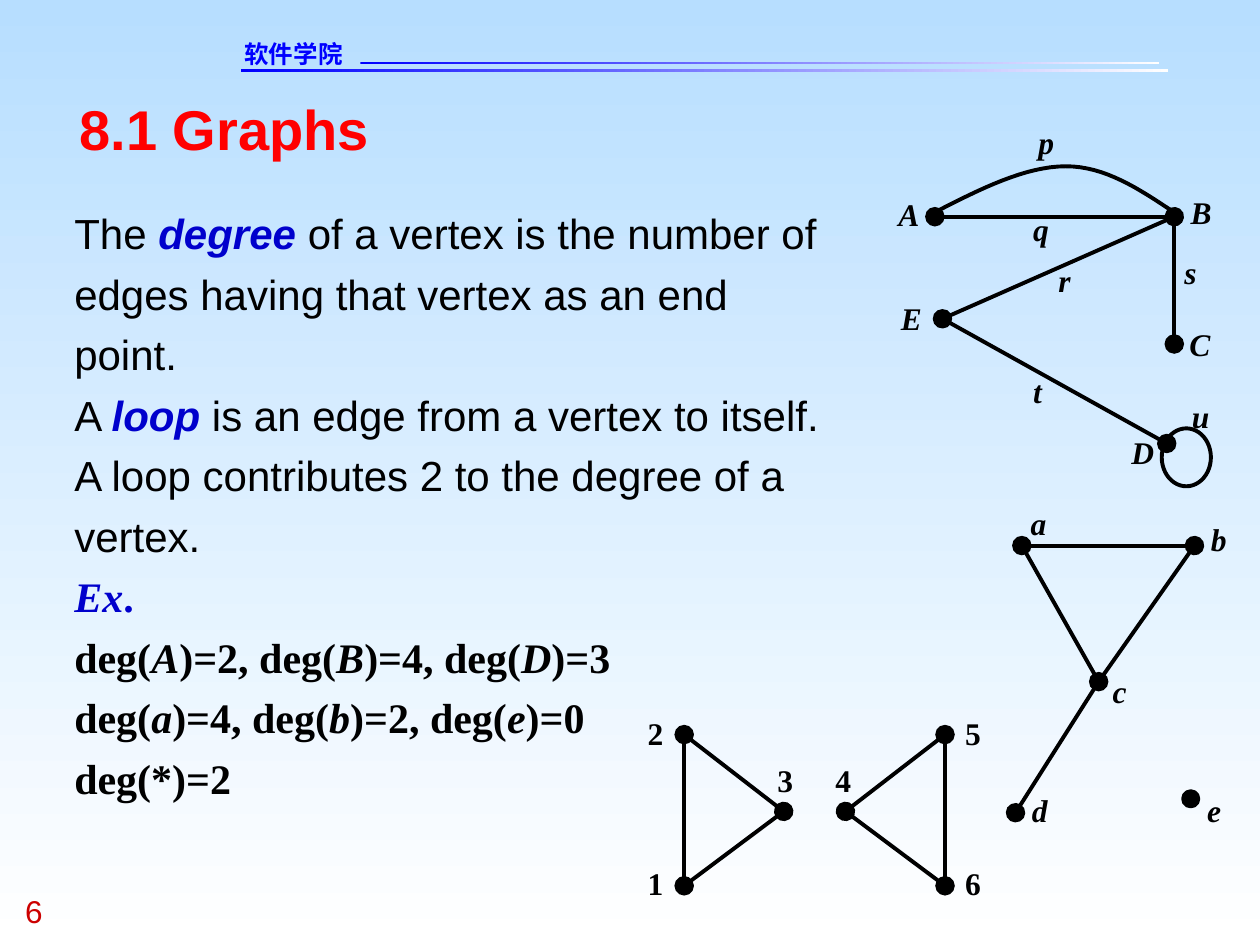
from collections import namedtuple
from dataclasses import dataclass

from lxml.etree import SubElement
from pptx import Presentation
from pptx.dml.color import RGBColor as Rgb
from pptx.enum.shapes import MSO_CONNECTOR as Connector, MSO_SHAPE as Shape
from pptx.enum.text import MSO_ANCHOR as Anchor, MSO_AUTO_SIZE as AutoSize, PP_ALIGN as Align
from pptx.oxml.ns import qn
from pptx.util import Inches, Pt

Box = namedtuple("Box", "left top width height")


@dataclass(frozen=True)
class Theme:
    """Colours, fonts and sizes of the slide."""
    sky: Rgb = Rgb(0xB7, 0xDE, 0xFF)
    white: Rgb = Rgb(255, 255, 255)
    blue: Rgb = Rgb(0, 0, 255)
    term: Rgb = Rgb(0, 0, 0xCC)
    red: Rgb = Rgb(255, 0, 0)
    number: Rgb = Rgb(0xCC, 0, 0)
    ink: Rgb = Rgb(0, 0, 0)
    sans: str = "Arial"
    serif: str = "Times New Roman"
    header: str = "DejaVu Sans"
    title_size: Pt = Pt(32)
    body_size: Pt = Pt(24)
    label_size: Pt = Pt(18)
    header_size: Pt = Pt(14)
    edge: Pt = Pt(2.25)


T = Theme()
PROSE = dict(name=T.sans, size=T.body_size, color=T.ink)
TERM = dict(PROSE, color=T.term, bold=True, italic=True)
MATH = dict(name=T.serif, size=T.body_size, color=T.ink, bold=True)
VERTEX = dict(MATH, italic=True)
LABEL = dict(MATH, size=T.label_size)
HEADER = dict(name=T.header, size=T.header_size, color=T.blue, bold=True)
NUMBER = dict(name=T.sans, size=T.label_size, color=T.number)
TITLE = dict(name=T.sans, size=T.title_size, color=T.red, bold=True)
FRAME = dict(margin_left=0, margin_top=0, margin_right=0, margin_bottom=0,
             word_wrap=True, auto_size=AutoSize.NONE)


def degrees(values):
    """Return the runs of one line of vertex degrees."""
    runs = []
    for index, (vertex, degree) in enumerate(values):
        runs += [(", deg(" if index else "deg(", MATH), (vertex, VERTEX), (f")={degree}", MATH)]
    return runs


BODY = [
    [("The ", PROSE), ("degree ", TERM),
     ("of a vertex is the number of edges having that vertex as an end point.", PROSE)],
    [("A ", PROSE), ("loop ", TERM),
     ("is an edge from a vertex to itself. "
      "A loop contributes 2 to the degree of a vertex.", PROSE)],
    [("Ex", dict(VERTEX, color=T.term)), (".", dict(MATH, color=T.term))],
    degrees([("A", 2), ("B", 4), ("D", 3)]),
    degrees([("a", 4), ("b", 2), ("e", 0)]),
    [("deg(*)=2", MATH)],
]


def assign(target, values):
    """Set each named attribute of the target."""
    for name, value in values.items():
        setattr(target, name, value)


def write_run(paragraph, text, style):
    """Add a run with the given font style."""
    run = paragraph.add_run()
    run.text = text
    assign(run.font, {key: value for key, value in style.items() if key != "color"})
    run.font.color.rgb = style["color"]


def add_text(shapes, box, paragraphs, line_spacing=None):
    """Place a text box holding paragraphs of styled runs."""
    frame = shapes.add_textbox(*map(Inches, box)).text_frame
    assign(frame, FRAME)
    for index, runs in enumerate(paragraphs):
        paragraph = frame.add_paragraph() if index else frame.paragraphs[0]
        paragraph.line_spacing = line_spacing
        for text, style in runs:
            write_run(paragraph, text, style)


def fade(fill, colours, angle):
    """Fill with an even gradient between two colours."""
    fill.gradient()
    fill.gradient_angle = angle
    for stop, colour in zip(fill.gradient_stops, colours):
        stop.color.rgb = colour


def add_header(slide, box):
    """Place the school name and its two fading rules."""
    for left, top, width in ((0, 0.24, 7.36), (0.95, 0.18, 6.34)):
        rule = slide.shapes.add_shape(
            Shape.RECTANGLE, *map(Inches, (box.left + left, box.top + top, width, 0.02)))
        rule.shadow.inherit = False
        rule.line.fill.background()
        fade(rule.fill, (T.blue, T.white), 0)
    add_text(slide.shapes, (box.left + 0.03, box.top, 1.45, 0.23), [[("软件学院", HEADER)]])


def add_title(slide, box):
    """Move and format the title placeholder."""
    title = slide.shapes.title
    assign(title, {side: Inches(value) for side, value in box._asdict().items()})
    assign(title.text_frame, dict(FRAME, vertical_anchor=Anchor.MIDDLE))
    paragraph = title.text_frame.paragraphs[0]
    paragraph.alignment = Align.LEFT
    write_run(paragraph, "8.1 Graphs", TITLE)


def ink_outline(shape):
    """Draw the outline of a shape in the edge style."""
    shape.line.color.rgb = T.ink
    shape.line.width = T.edge


def add_ellipse(group, box, left, top, width, height, solid=False):
    """Place a loop, or a solid isolated vertex."""
    ellipse = group.shapes.add_shape(
        Shape.OVAL, *map(Inches, (box.left + left, box.top + top, width, height)))
    ellipse.shadow.inherit = False
    if solid:
        ellipse.fill.solid()
        ellipse.fill.fore_color.rgb = T.ink
    else:
        ellipse.fill.background()
    ink_outline(ellipse)


def add_arc(group, box, start, first, second, end, steps=16):
    """Draw half of a curved edge as one Bezier span."""
    points = []
    for step in range(steps + 1):
        t = step / steps
        weights = ((1 - t) ** 3, 3 * t * (1 - t) ** 2, 3 * t ** 2 * (1 - t), t ** 3)
        points.append(tuple(
            Inches(origin + sum(w * p[axis] for w, p in zip(weights, (start, first, second, end))))
            for axis, origin in enumerate((box.left, box.top))))
    return points


def add_curve(group, box, spans):
    """Draw a curved edge through joined Bezier spans."""
    points = [point for span in spans for point in add_arc(group, box, *span)]
    builder = group.shapes.build_freeform(*points[0], scale=1.0)
    builder.add_line_segments(points[1:], close=False)
    curve = builder.convert_to_shape()
    curve.shadow.inherit = False
    curve.fill.background()
    ink_outline(curve)


def add_graph(slide, box, vertices, edges, labels, style):
    """Draw a labelled graph, dotting each vertex at its first edge."""
    group = slide.shapes.add_group_shape()
    dotted = set()
    for edge in edges:
        ends = [Inches(origin + offset) for vertex in edge
                for origin, offset in zip((box.left, box.top), vertices[vertex])]
        line = group.shapes.add_connector(Connector.STRAIGHT, *ends)
        ink_outline(line)
        properties = line.element.spPr
        for vertex, tag in zip(edge, ("a:headEnd", "a:tailEnd")):
            if vertex not in dotted:
                SubElement(properties.get_or_add_ln(), qn(tag), type="oval", w="lg", len="lg")
                dotted.add(vertex)
        SubElement(properties, qn("a:effectLst"))
    for text, (left, top, width) in labels.items():
        add_text(group.shapes, (box.left + left, box.top + top, width, 0.3), [[(text, style)]])
    return group


def add_capital_graph(slide, box):
    """Draw the graph on A to E with parallel edges and a loop."""
    vertices = dict(A=(0.29, 0.74), B=(2.19, 0.74), C=(2.19, 1.75), D=(2.13, 2.54), E=(0.35, 1.55))
    labels = dict(A=(0, 0.57, 0.18), B=(2.32, 0.55, 0.17), C=(2.31, 1.6, 0.18),
                  D=(1.85, 2.46, 0.18), E=(0.02, 1.39, 0.17), p=(1.11, 0, 0.12),
                  q=(1.07, 0.69, 0.13), r=(1.27, 1.09, 0.1), s=(2.27, 1.03, 0.1),
                  t=(1.07, 1.97, 0.07), u=(2.33, 2.17, 0.14))
    group = add_graph(slide, box, vertices, ("ED", "EB", "AB", "BC"), labels,
                      dict(LABEL, italic=True))
    add_ellipse(group, box, 2.09, 2.42, 0.39, 0.46)
    add_curve(group, box, [((0.3, 0.7), (0.65, 0.52), (1.01, 0.34), (1.33, 0.34)),
                           ((1.33, 0.34), (1.64, 0.34), (1.91, 0.52), (2.18, 0.7))])


def add_small_letter_graph(slide, box):
    """Draw the graph on a to e with its isolated vertex."""
    vertices = dict(a=(0.05, 0.33), b=(1.42, 0.33), c=(0.66, 1.41), d=(0, 2.45))
    labels = dict(a=(0.12, 0, 0.13), b=(1.55, 0.13, 0.13), c=(0.77, 1.33, 0.11),
                  d=(0.13, 2.28, 0.13), e=(1.52, 2.28, 0.11))
    group = add_graph(slide, box, vertices, ("ac", "cb", "ab", "dc"), labels,
                      dict(LABEL, italic=True))
    add_ellipse(group, box, 1.33, 2.28, 0.12, 0.12, solid=True)


def add_number_graph(slide, box):
    """Draw two mirrored triangles on 1 to 6."""
    vertices = {"1": (0.29, 1.36), "2": (0.29, 0.16), "3": (1.08, 0.77)}
    labels = {"1": (0, 1.19, 0.13), "2": (0, 0, 0.13), "3": (1.03, 0.37, 0.13)}
    for vertex, twin in zip("123", "654"):
        x, y = vertices[vertex]
        left, top, width = labels[vertex]
        vertices[twin] = (box.width - x, y)
        labels[twin] = (box.width - left - width, top, width)
    add_graph(slide, box, vertices, ("21", "13", "23", "56", "45", "46"), labels, LABEL)


def main():
    """Build and save the slide."""
    deck = Presentation()
    assign(deck, dict(slide_width=Inches(10), slide_height=Inches(7.5)))
    slide = deck.slides.add_slide(deck.slide_layouts[5])
    fade(slide.background.fill, (T.sky, T.white), 270)
    add_header(slide, Box(1.91, 0.31, 7.36, 0.26))
    add_text(slide.shapes, Box(0.2, 7.08, 0.75, 0.3), [[("6", NUMBER)]])
    add_text(slide.shapes, Box(0.59, 1.57, 6.07, 4.8), BODY, line_spacing=1.2)
    add_title(slide, Box(0.63, 0.75, 8.75, 0.53))
    add_small_letter_graph(slide, Box(8.06, 4, 1.68, 2.58))
    add_capital_graph(slide, Box(7.13, 0.98, 2.49, 2.88))
    add_number_graph(slide, Box(5.14, 5.67, 2.65, 1.49))
    deck.save("out.pptx")


if __name__ == "__main__":
    main()
